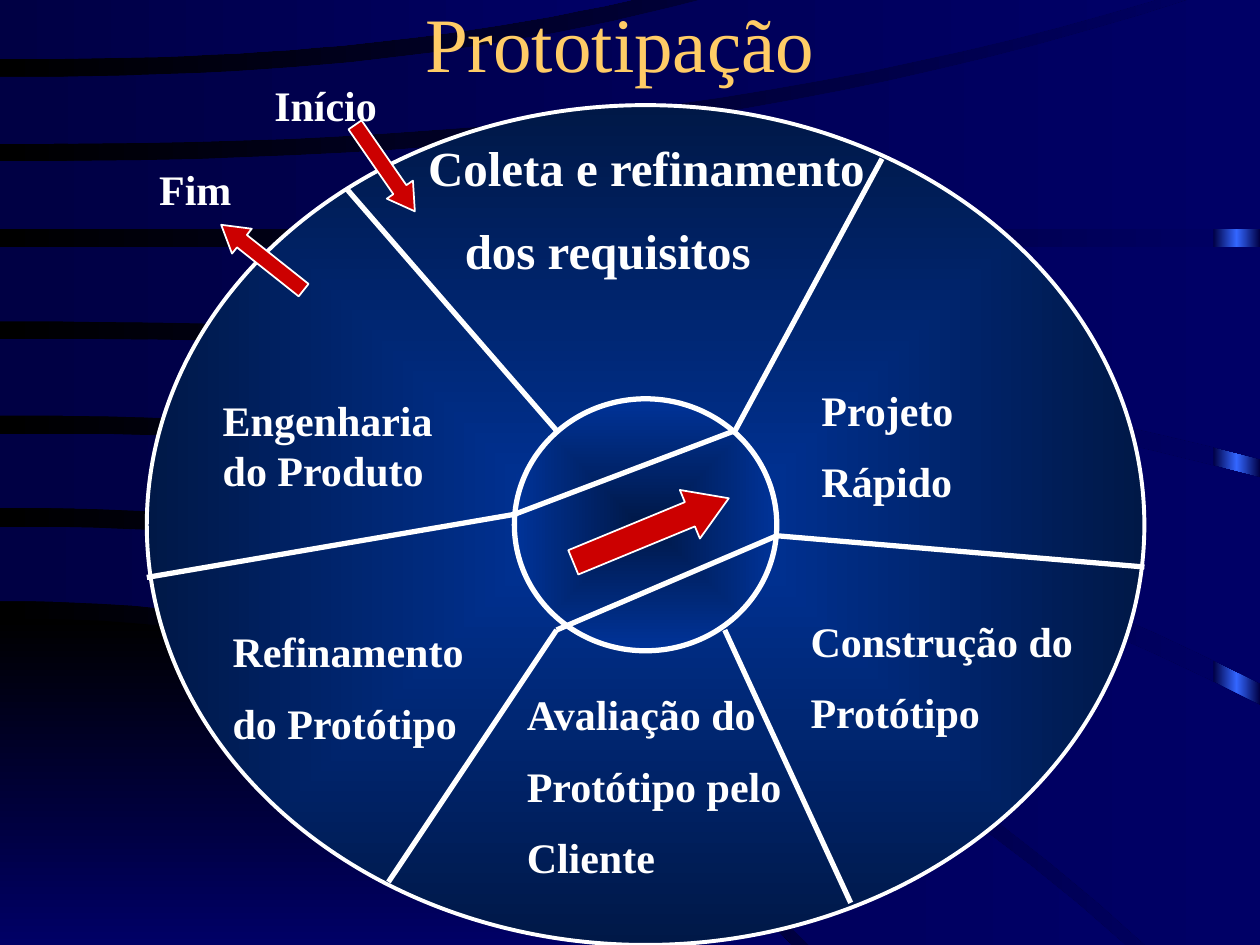
from lxml import etree
from pptx import Presentation
from pptx import util as u
from pptx.dml.color import RGBColor
from pptx.enum import shapes, text
from pptx.oxml import ns

WHITE = RGBColor(0xFF, 0xFF, 0xFF)
GOLD = RGBColor(0xFF, 0xCC, 0x66)
RED = RGBColor(0xCC, 0x00, 0x00)
BLACK = RGBColor(0x00, 0x00, 0x00)
NAVY = RGBColor(0x00, 0x00, 0x66)
DARK_NAVY = RGBColor(0x00, 0x00, 0x44)
BRIGHT = RGBColor(0x33, 0x66, 0xFF)
BLUE = RGBColor(0x00, 0x33, 0x99)
MIDNIGHT = RGBColor(0x00, 0x18, 0x47)

WIDTH, HEIGHT = 25.4, 19.05
CURVE_POWER = 2.4
CURVE_STEPS = 24
UNITS_PER_CM = 100

CORNER = {"upper": (12.47, 15.95, HEIGHT), "lower": (HEIGHT, 15.95, HEIGHT)}
BANDS = [
    {"upper": (10.62, 22.68, HEIGHT), "lower": (12.12, 16.31, HEIGHT)},
    {"upper": (8.74, WIDTH, 14.22), "lower": (10.24, 23.09, HEIGHT)},
    {"upper": (6.83, WIDTH, 9.63), "lower": (8.38, WIDTH, 13.77)},
    {"upper": (4.98, WIDTH, 4.98), "lower": (6.48, WIDTH, 9.25)},
    {"upper": (3.25, 23.95, 0), "lower": (4.62, WIDTH, 4.62)},
    {"upper": (1.55, 14.12, 0), "lower": (2.9, 23.29, 0)},
    {"upper": (0, 12.73, 0), "lower": (1.19, 12.73, 0)},
]

HUB = {"top_left": (11.22, 8.68), "top_right": (14.82, 8.68), "left": (10.37, 10.37),
       "right": (15.66, 10.8), "bottom_left": (11.22, 12.7), "bottom_right": (14.61, 12.7)}
RIM = {"top_left": (6.99, 3.81), "top_right": (17.78, 3.2), "left": (2.96, 11.64),
       "right": (23.07, 11.43), "bottom_left": (7.83, 17.78), "bottom_right": (17.15, 18.2)}
SPOKES = [(HUB[name], RIM[name]) for name in HUB]
CHORDS = [(HUB["left"], HUB["top_right"]), (HUB["bottom_left"], HUB["right"])]

PHASES = [
    (["Projeto", "Rápido"], (16.31, 7.62, 6.12, 2.79)),
    (["Construção do", "Protótipo"], (16.09, 12.28, 6.58, 2.79)),
    (["Avaliação do", "Protótipo pelo", "Cliente"], (10.37, 13.76, 5.89, 4.32)),
    (["Refinamento", "do Protótipo"], (4.44, 12.49, 5.89, 2.79)),
    (["Engenharia do Produto"], (4.24, 7.83, 5.21, 2.29)),
]
ENDS = [(["Início"], (5.28, 1.48, 2.59, 1.27)), (["Fim"], (2.96, 3.18, 1.96, 1.27))]
ARROWS = [
    {"place": (11.43, 10.16, 3.39, 1.06), "rotation": 337.6, "head": 0.8},
    {"place": (6.7, 3.07, 2.12, 0.64), "rotation": 55.3, "head": 0.83},
    {"place": (4.23, 4.87, 2.12, 0.64), "rotation": 218.4, "head": 0.83},
]


def curve(start, reach, end):
    """Return points that leave the left side level at start and bend to (reach, end)."""
    shares = [step / CURVE_STEPS for step in range(CURVE_STEPS + 1)]
    return [(reach * share, start + (end - start) * share ** CURVE_POWER) for share in shares]


def band_outline(upper, lower):
    """Return the closed outline between two edges, squared off at the far end."""
    shorter = min(upper, lower, key=lambda edge: edge[1])
    far_corner = (max(upper[1], lower[1]), shorter[2])
    return curve(*upper) + [far_corner] + curve(*lower)[::-1]


class Painter:
    """Holds the text style and the current slide, and draws each kind of element."""

    def __init__(self, page):
        self.page = page
        self.font = {"name": "Times New Roman", "size": u.Pt(24), "bold": True}

    def gradient(self, owner, colors, angle=0, centred=False):
        owner.fill.gradient()
        root = self.page._element if owner is self.page.background else owner._element
        grad = root.find(".//" + ns.qn("a:gradFill"))
        for child in list(grad):
            grad.remove(child)
        stops = etree.SubElement(grad, ns.qn("a:gsLst"))
        for index, color in enumerate(colors):
            position = str(100000 * index // (len(colors) - 1))
            stop = etree.SubElement(stops, ns.qn("a:gs"), pos=position)
            etree.SubElement(stop, ns.qn("a:srgbClr"), val=str(color))
        if centred:
            shade = etree.SubElement(grad, ns.qn("a:path"), path="shape")
            etree.SubElement(shade, ns.qn("a:fillToRect"), **dict.fromkeys("ltrb", "50000"))
        else:
            etree.SubElement(grad, ns.qn("a:lin"), ang=str(angle * 60000), scaled="1")

    def border(self, shape, width):
        shape.shadow.inherit = False
        if width:
            shape.line.color.rgb = WHITE
            shape.line.width = u.Pt(width)
        else:
            shape.line.fill.background()

    def band(self, edges, colors, angle=0):
        points = [(x * UNITS_PER_CM, y * UNITS_PER_CM) for x, y in band_outline(**edges)]
        builder = self.page.shapes.build_freeform(*points[0], scale=u.Cm(1) / UNITS_PER_CM)
        builder.add_line_segments(points[1:], close=True)
        shape = builder.convert_to_shape()
        self.gradient(shape, colors, angle)
        self.border(shape, 0)

    def shape(self, kind, place, width=0):
        shape = self.page.shapes.add_shape(kind, *map(u.Cm, place))
        self.border(shape, width)
        return shape

    def disc(self, place, colors, width):
        self.gradient(self.shape(shapes.MSO_SHAPE.OVAL, place, width), colors, centred=True)

    def arrow(self, place, rotation, head):
        shape = self.shape(shapes.MSO_SHAPE.RIGHT_ARROW, place, 1)
        shape.fill.solid()
        shape.fill.fore_color.rgb = RED
        shape.adjustments[0], shape.adjustments[1] = 0.5, head
        shape.rotation = rotation

    def line(self, start, end):
        line = self.page.shapes.add_connector(
            shapes.MSO_CONNECTOR.STRAIGHT, *map(u.Cm, start + end))
        line.line.color.rgb = WHITE
        line.line.width = u.Pt(3)
        etree.SubElement(line._element.spPr, ns.qn("a:effectLst"))

    def label(self, lines, place, color=WHITE, wrap=True, indent=0, **changes):
        style = {**self.font, **changes}
        frame = self.page.shapes.add_textbox(*map(u.Cm, place)).text_frame
        frame.word_wrap = wrap
        for index, words in enumerate(lines):
            para = frame.add_paragraph() if index else frame.paragraphs[0]
            if index:
                para.space_before = u.Pt(style["size"].pt / 2)
                para._p.get_or_add_pPr().set("marL", str(u.Cm(indent)))
            span = para.add_run()
            span.text = words
            span.font.color.rgb = color
            for name, value in style.items():
                setattr(span.font, name, value)
        return frame


def draw_backdrop(painter):
    """Paint the dark sweep of bands behind the wheel."""
    painter.gradient(painter.page.background, [BLACK, NAVY])
    strip = painter.shape(shapes.MSO_SHAPE.RECTANGLE, (24.46, 0, 0.94, HEIGHT))
    painter.gradient(strip, [DARK_NAVY, BRIGHT, DARK_NAVY])
    painter.band(CORNER, [BLACK, NAVY], angle=90)
    for edges in BANDS:
        painter.band(edges, [DARK_NAVY, NAVY])


def draw_title(painter):
    """Write the heading centred at the top."""
    frame = painter.label(["Prototipação"], (1.7, 0, 21.59, 1.7), GOLD,
                          size=u.Pt(44), bold=False)
    frame.vertical_anchor = text.MSO_ANCHOR.MIDDLE
    frame.paragraphs[0].alignment = text.PP_ALIGN.CENTER


def draw_wheel(painter):
    """Draw the wheel, its phases and the arrows of the cycle."""
    painter.disc((2.96, 2.12, 20.11, 16.93), [BLUE, MIDNIGHT], 2.25)
    painter.disc((10.37, 8.04, 5.29, 5.08), [MIDNIGHT, BLUE], 3)
    for start, end in SPOKES + CHORDS:
        painter.line(start, end)
    painter.label(["Coleta e refinamento", "dos requisitos"], (8.38, 2.64, 9.73, 3.23),
                  indent=0.74, size=u.Pt(28))
    for lines, place in PHASES:
        painter.label(lines, place)
    for lines, place in ENDS:
        painter.label(lines, place, wrap=False)
    for arrow in ARROWS:
        painter.arrow(**arrow)


def main():
    deck = Presentation()
    deck.slide_width, deck.slide_height = u.Cm(WIDTH), u.Cm(HEIGHT)
    painter = Painter(deck.slides.add_slide(deck.slide_layouts[6]))
    draw_backdrop(painter)
    draw_title(painter)
    draw_wheel(painter)
    deck.save("out.pptx")


if __name__ == "__main__":
    main()
